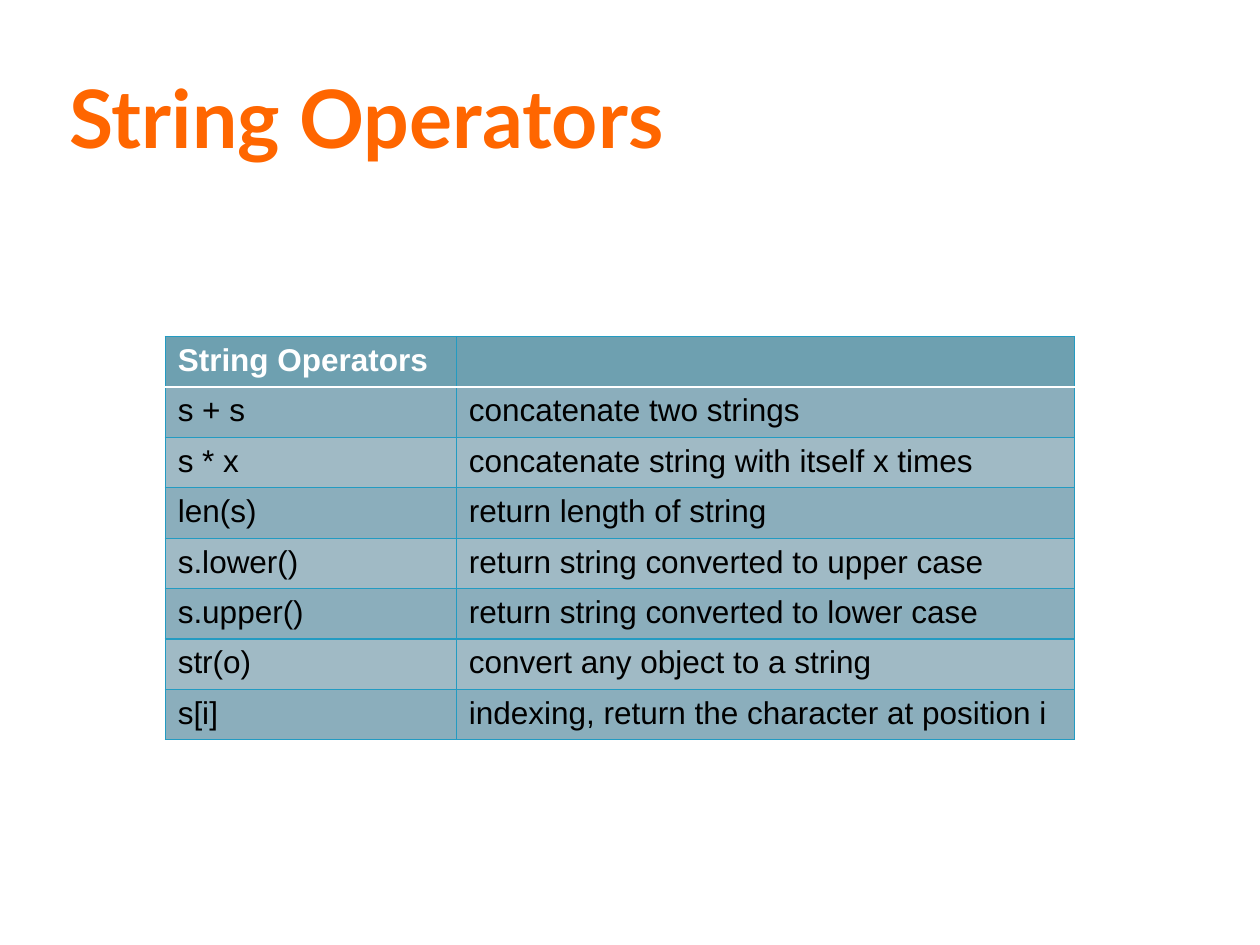
from lxml import etree
from pptx import Presentation
from pptx.dml.color import RGBColor
from pptx.enum import text
from pptx.oxml import ns
from pptx.util import Cm, Pt

HEADING = "String Operators"
OPERATORS = [
    ("s + s", "concatenate two strings"),
    ("s * x", "concatenate string with itself x times"),
    ("len(s)", "return length of string"),
    ("s.lower()", "return string converted to upper case"),
    ("s.upper()", "return string converted to lower case"),
    ("str(o)", "convert any object to a string"),
    ("s[i]", "indexing, return the character at position i"),
]
HEADER_FILL = "6EA0B0"
BAND_FILLS = ("8BAEBC", "A0BAC5")
GRID = ("239BC2", 0.75)
HEADER_RULE = ("FFFFFF", 1.5)


def color(value):
    return RGBColor.from_string(value)


def style_font(paragraph, name, size, fill, bold=False):
    font = paragraph.font
    font.name, font.size, font.bold = name, Pt(size), bold
    font.color.rgb = color(fill)


def add_border(cell, side, line):
    hex_color, width = line
    properties = cell._tc.get_or_add_tcPr()
    border = etree.SubElement(properties, ns.qn(f"a:ln{side}"), w=str(Pt(width)))
    solid = etree.SubElement(border, ns.qn("a:solidFill"))
    etree.SubElement(solid, ns.qn("a:srgbClr"), val=hex_color)


def add_title(slide, left, top, width, height):
    title = slide.shapes.add_textbox(left, top, width, height)
    frame = title.text_frame
    frame.word_wrap = True
    frame.vertical_anchor = text.MSO_ANCHOR.MIDDLE
    frame.margin_left = frame.margin_right = Cm(0.13)
    frame.margin_top = frame.margin_bottom = Cm(0.13)
    frame.text = HEADING
    style_font(frame.paragraphs[0], "Lato", 46, "FF6600", bold=True)


def add_operator_table(slide, left, top, width, height):
    rows = [(HEADING, "")] + OPERATORS
    table = slide.shapes.add_table(len(rows), 2, left, top, width, height).table
    operator_width = int(width * 0.32)
    table.columns[0].width = operator_width
    table.columns[1].width = width - operator_width

    for r, row in enumerate(rows):
        header = r == 0
        for c, wording in enumerate(row):
            cell = table.cell(r, c)
            cell.text = wording
            style_font(cell.text_frame.paragraphs[0], "Arial", 18,
                       "FFFFFF" if header else "000000", bold=header)
            # Grid lines, with a white rule between header and body
            for side in "LRTB":
                under_header = (r, side) in ((0, "B"), (1, "T"))
                add_border(cell, side, HEADER_RULE if under_header else GRID)
            # Banded rows
            cell.fill.solid()
            cell.fill.fore_color.rgb = color(
                HEADER_FILL if header else BAND_FILLS[(r - 1) % 2])


def main():
    deck = Presentation()
    deck.slide_width, deck.slide_height = Cm(25.4), Cm(19.05)
    slide = deck.slides.add_slide(deck.slide_layouts[6])
    add_title(slide, Cm(1.27), Cm(0.76), Cm(20.75), Cm(3.18))
    add_operator_table(slide, Cm(3.33), Cm(6.78), Cm(18.34), Cm(7.84))
    deck.save("out.pptx")


if __name__ == "__main__":
    main()
